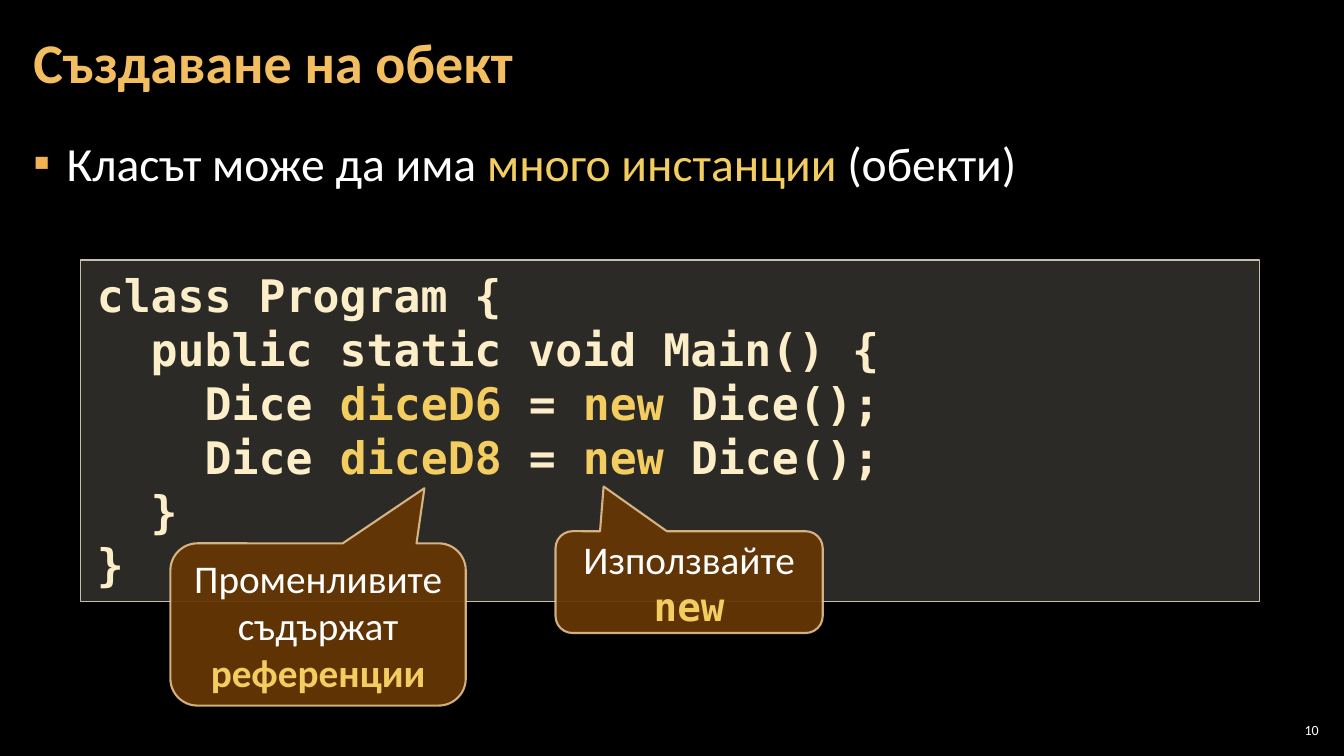
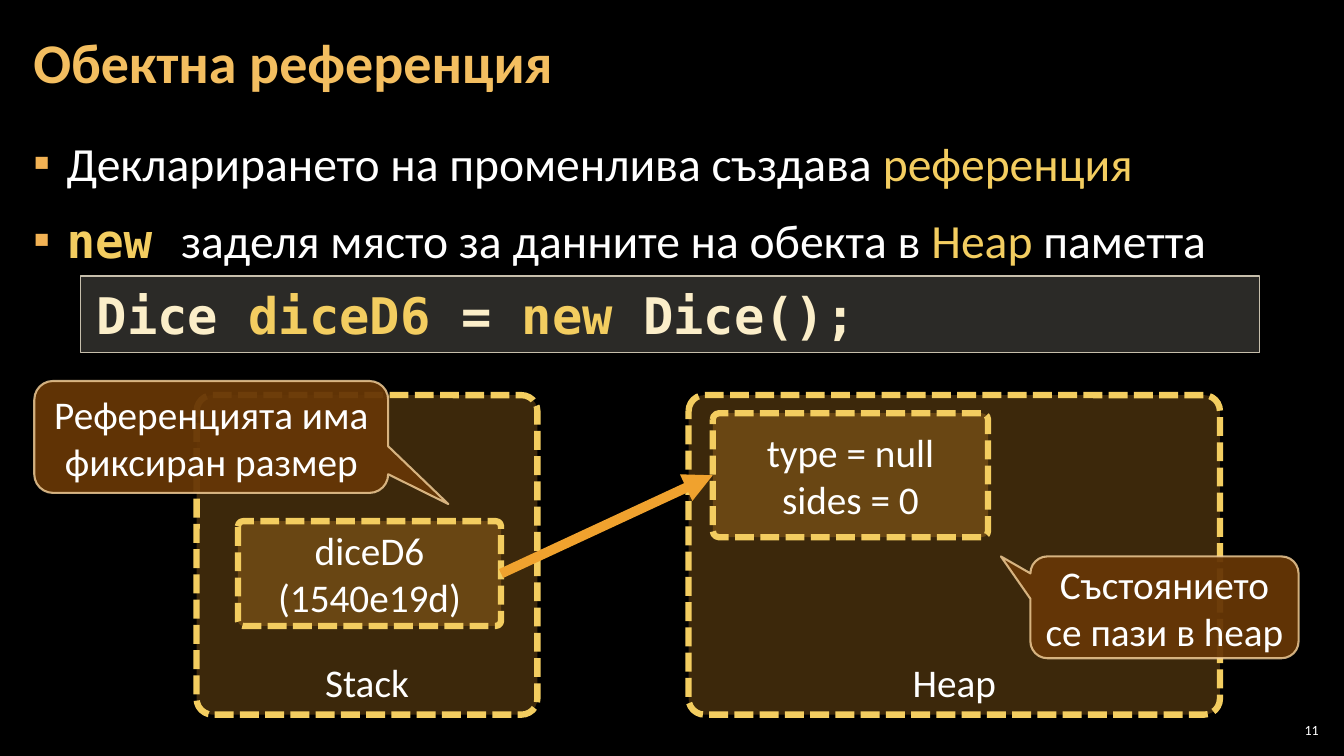
from lxml import etree
from pptx import Presentation
from pptx.dml.color import RGBColor
from pptx.enum.dml import MSO_LINE
from pptx.enum.shapes import MSO_CONNECTOR, MSO_SHAPE
from pptx.enum.text import MSO_ANCHOR, MSO_AUTO_SIZE, PP_ALIGN
from pptx.oxml.ns import qn
from pptx.util import Inches, Pt

# Colours and fonts
BLACK = RGBColor(0x00, 0x00, 0x00)
WHITE = RGBColor(0xFF, 0xFF, 0xFF)
TITLE = RGBColor(0xF3, 0xBE, 0x60)
YELLOW = RGBColor(0xF3, 0xCD, 0x60)
ORANGE = RGBColor(0xF0, 0xA2, 0x2E)
BULLET = RGBColor(0xF2, 0xB2, 0x54)
CREAM = RGBColor(0xFB, 0xEE, 0xC9)
CODE_FILL = RGBColor(0xD9, 0xD5, 0xC7)
CODE_LINE = RGBColor(0xC7, 0xBF, 0xAC)
BROWN = RGBColor(0x66, 0x36, 0x06)
SAND = RGBColor(0xF8, 0xD4, 0x9E)
SANS, MONO = "Calibri", "DejaVu Sans Mono"

# Run styles that differ from the base of a box
HI = dict(color=YELLOW)
HI_BOLD = dict(color=YELLOW, bold=True)
HI_CODE = dict(color=YELLOW, bold=True, name=MONO)

# Shape looks
CODE = dict(kind=MSO_SHAPE.RECTANGLE, fill=CODE_FILL, alpha=20, line=CODE_LINE, width=1)
CALLOUT = dict(kind=MSO_SHAPE.ROUNDED_RECTANGULAR_CALLOUT, fill=BROWN, alpha=95,
               line=SAND, width=1.5, line_alpha=80)
MEMORY = dict(kind=MSO_SHAPE.ROUNDED_RECTANGLE, fill=ORANGE, alpha=25,
              line=YELLOW, width=4.5, dash=MSO_LINE.SQUARE_DOT)
MEMORY_ADJ = [0.05]


def new_dice(name, indent=""):
    return [indent + "Dice ", (name, HI), " = ", ("new", HI), " Dice();"]


# Content: a paragraph is a list of plain strings and (text, style) pairs
SLIDES = [
    dict(
        number="10",
        title="Създаване на обект",
        bullets=[["Класът може да има ", ("много инстанции", HI), " (обекти)"]],
        code=dict(top=2.58, height=3.39, size=32, lines=[
            ["class Program {"],
            ["  public static void Main() {"],
            new_dice("diceD6", "    "),
            new_dice("diceD8", "    "),
            ["  }"],
            ["}"],
        ]),
        memory={},
        callouts=[
            ((5.51, 5.27, 2.65, 1.01), (-0.32, -0.94),
             ["Използвайте ", ("new", HI_CODE)]),
            ((1.69, 5.39, 2.93, 1.61), (0.36, -0.84),
             ["Променливите съдържат ", ("референции", HI_BOLD)]),
        ],
    ),
    dict(
        number="11",
        title="Обектна референция",
        bullets=[
            ["Декларирането на променлива създава ", ("референция", HI)],
            [("new ", HI_CODE), "заделя място за данните на обекта в ",
             ("Heap ", HI), "паметта"],
        ],
        code=dict(top=2.74, height=0.76, size=36, lines=[new_dice("diceD6")]),
        memory={
            "stack": ((1.95, 3.92, 3.38, 3.17), MSO_ANCHOR.BOTTOM, [["Stack"]]),
            "heap": ((6.83, 3.92, 5.27, 3.17), MSO_ANCHOR.BOTTOM, [["Heap"]]),
            "reference": ((2.36, 5.17, 2.61, 1.04), MSO_ANCHOR.MIDDLE,
                          [["diceD6"], ["(1540e19d)"]]),
            "object": ((7.07, 4.1, 2.73, 1.23), MSO_ANCHOR.MIDDLE,
                       [["type = null"], ["sides = 0"]]),
        },
        arrow=("reference", "object"),
        callouts=[
            ((0.34, 3.78, 3.51, 1.11), (0.67, 0.6), ["Референцията има фиксиран размер"]),
            ((10.22, 5.52, 2.66, 1.01), (-0.61, -0.5), ["Състоянието се пази в heap"]),
        ],
    ),
]


def inches(box):
    return [Inches(v) for v in box]


def write(tf, paras, base, margins=(0.1, 0.05), anchor=MSO_ANCHOR.MIDDLE, **para_format):
    """Fill a text frame and return its paragraphs."""
    mx, my = inches(margins)
    frame = dict(word_wrap=True, auto_size=MSO_AUTO_SIZE.NONE, vertical_anchor=anchor,
                 margin_left=mx, margin_right=mx, margin_top=my, margin_bottom=my)
    for key, value in frame.items():
        setattr(tf, key, value)
    for i, runs in enumerate(paras):
        p = tf.add_paragraph() if i else tf.paragraphs[0]
        for key, value in para_format.items():
            if i or key != "space_before":
                setattr(p, key, value)
        for run in runs:
            text, style = (run, {}) if isinstance(run, str) else run
            r = p.add_run()
            r.text = text
            for key, value in {**base, **style}.items():
                if key == "color":
                    r.font.color.rgb = value
                else:
                    setattr(r.font, key, value)
    return tf.paragraphs


def add_bullet(p):
    pPr = p._p.get_or_add_pPr()
    pPr.set("marL", str(Inches(0.33)))
    pPr.set("indent", str(-Inches(0.33)))
    clr = etree.SubElement(pPr, qn("a:buClr"))
    etree.SubElement(clr, qn("a:srgbClr"), val=str(BULLET))
    etree.SubElement(pPr, qn("a:buFont"), typeface=SANS)
    etree.SubElement(pPr, qn("a:buChar"), char="▪")


def set_alpha(sp, where, percent):
    for clr in sp.element.xpath(f"./p:spPr/{where}a:solidFill/a:srgbClr"):
        etree.SubElement(clr, qn("a:alpha"), val=str(percent * 1000))


def add_box(s, box, look, adjustments=()):
    sp = s.shapes.add_shape(look["kind"], *inches(box))
    sp.shadow.inherit = False
    sp.fill.solid()
    sp.fill.fore_color.rgb = look["fill"]
    sp.line.color.rgb = look["line"]
    sp.line.width = Pt(look["width"])
    if "dash" in look:
        sp.line.dash_style = look["dash"]
    set_alpha(sp, "", look["alpha"])
    set_alpha(sp, "a:ln/", look.get("line_alpha", 100))
    for i, value in enumerate(adjustments):
        sp.adjustments[i] = value
    return sp


def add_arrow(s, start, end):
    cx = s.shapes.add_connector(MSO_CONNECTOR.STRAIGHT, 0, 0, 0, 0)
    cx.begin_connect(start, 3)
    cx.end_connect(end, 1)
    cx.line.color.rgb = ORANGE
    cx.line.width = Pt(7)
    etree.SubElement(cx.line._get_or_add_ln(), qn("a:tailEnd"), type="triangle")
    etree.SubElement(cx.element.spPr, qn("a:effectLst"))


def style_template(prs):
    """Background and placeholder places shared by the slides."""
    fill = prs.slide_master.background.fill
    fill.solid()
    fill.fore_color.rgb = BLACK
    layout = prs.slide_layouts[1]
    places = [(0.21, 0.04, 10.47, 1.21), (0.21, 1.26, 12.91, 6.09)]
    for ph, place in zip(layout.placeholders, places):
        ph.left, ph.top, ph.width, ph.height = inches(place)
    return layout


def build_slide(prs, layout, data):
    s = prs.slides.add_slide(layout)
    label = dict(size=Pt(28), name=SANS, color=WHITE)

    # Title, bullets and page number
    write(s.shapes.title.text_frame, [[data["title"]]],
          dict(size=Pt(40), name=SANS, color=TITLE, bold=True), (0.12, 0.04),
          alignment=PP_ALIGN.LEFT, line_spacing=0.9)
    bullets = write(s.placeholders[1].text_frame, data["bullets"],
                    dict(size=Pt(34), name=SANS, color=WHITE), (0.12, 0.04),
                    MSO_ANCHOR.TOP, line_spacing=1.05,
                    space_before=Pt(6), space_after=Pt(6))
    bullets[0].space_before = Pt(0)
    for p in bullets:
        add_bullet(p)
    number = s.shapes.add_textbox(*inches((12.65, 7.14, 0.47, 0.21)))
    write(number.text_frame, [[data["number"]]], dict(size=Pt(10), name=SANS, color=WHITE),
          (0.04, 0.04), alignment=PP_ALIGN.RIGHT)

    # Code panel
    code = data["code"]
    panel = add_box(s, (0.8, code["top"], 11.69, code["height"]), CODE)
    write(panel.text_frame, code["lines"],
          dict(size=Pt(code["size"]), name=MONO, color=CREAM, bold=True),
          (0.16, 0.08), MSO_ANCHOR.TOP, alignment=PP_ALIGN.LEFT)

    # Memory areas and the reference arrow
    areas = {}
    for name, (box, anchor, paras) in data["memory"].items():
        areas[name] = add_box(s, box, MEMORY, MEMORY_ADJ)
        write(areas[name].text_frame, paras, label, anchor=anchor,
              alignment=PP_ALIGN.CENTER)
    if "arrow" in data:
        add_arrow(s, *(areas[name] for name in data["arrow"]))

    # Callouts
    for box, tip, runs in data["callouts"]:
        sp = add_box(s, box, CALLOUT, tip)
        write(sp.text_frame, [runs], label, alignment=PP_ALIGN.CENTER)


def main():
    prs = Presentation()
    prs.slide_width, prs.slide_height = Inches(13.33), Inches(7.5)
    layout = style_template(prs)
    for data in SLIDES:
        build_slide(prs, layout, data)
    prs.save("out.pptx")


if __name__ == "__main__":
    main()
